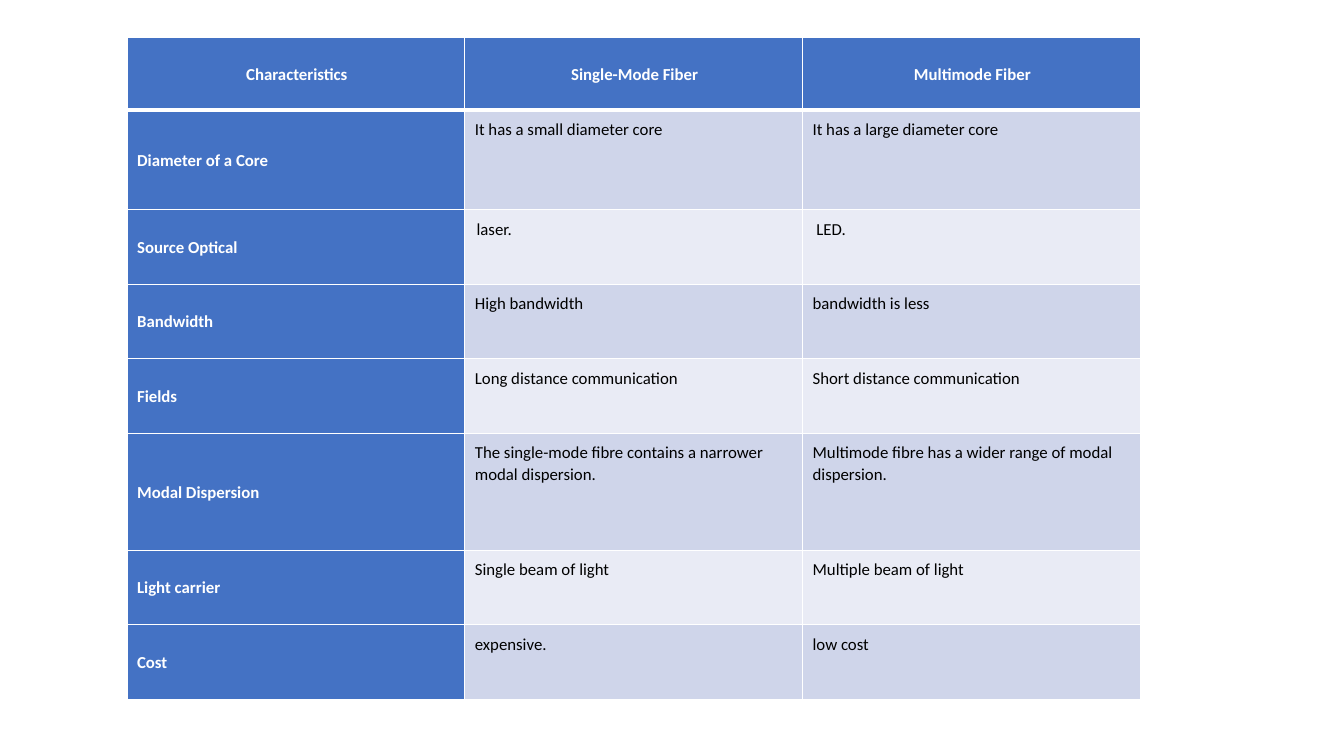
from lxml import etree
from pptx import Presentation
from pptx import util as u
from pptx.dml.color import RGBColor
from pptx.enum import text
from pptx.oxml import ns

BLUE, WHITE, BLACK = "4472C4", "FFFFFF", "000000"
BANDS = ("CFD5EA", "E9EBF5")
COLUMN_WIDTH = 3.35
ROW_HEIGHTS = (0.72, 0.99, 0.74, 0.74, 0.74, 1.16, 0.74, 0.74)
FIBER_ROWS = (
    ("Characteristics", "Single-Mode Fiber", "Multimode Fiber"),
    ("Diameter of a Core", "It has a small diameter core", "It has a large diameter core"),
    ("Source Optical", " laser.", " LED."),
    ("Bandwidth", "High bandwidth", "bandwidth is less"),
    ("Fields", "Long distance communication", "Short distance communication"),
    ("Modal Dispersion", "The single-mode fibre contains a narrower modal dispersion.",
     "Multimode fibre has a wider range of modal dispersion."),
    ("Light carrier", "Single beam of light", "Multiple beam of light"),
    ("Cost", "expensive.", "low cost"),
)


def color(value):
    return RGBColor.from_string(value)


def add_border(cell, side, points):
    properties = cell._tc.get_or_add_tcPr()
    line = etree.SubElement(properties, ns.qn(f"a:ln{side}"), w=str(u.Pt(points)))
    fill = etree.SubElement(line, ns.qn("a:solidFill"))
    etree.SubElement(fill, ns.qn("a:srgbClr"), val=WHITE)


def write_cell(cell, wording, row, column):
    is_header = row == 0
    is_heading = is_header or column == 0
    for side in "LRTB":
        under_header = (row, side) in ((0, "B"), (1, "T"))
        add_border(cell, side, 3 if under_header else 1)
    cell.fill.solid()
    cell.fill.fore_color.rgb = color(BLUE if is_heading else BANDS[(row - 1) % 2])
    cell.margin_left = cell.margin_right = u.Inches(0.08)
    cell.margin_top = cell.margin_bottom = u.Inches(0.08)
    cell.vertical_anchor = text.MSO_ANCHOR.MIDDLE if is_heading else text.MSO_ANCHOR.TOP
    cell.text = wording
    para = cell.text_frame.paragraphs[0]
    para.alignment = text.PP_ALIGN.CENTER if is_header else text.PP_ALIGN.LEFT
    para.line_spacing = 1.07
    para.space_before = u.Pt(1.5)
    para.space_after = u.Pt(7.5)
    indent = 0 if wording == " laser." else 0.02
    para._p.get_or_add_pPr().set("marL", str(u.Inches(indent)))
    para.font.name = "Calibri"
    para.font.size = u.Pt(12)
    para.font.bold = is_heading
    para.font.color.rgb = color(WHITE if is_heading else BLACK)


def add_fiber_table(page):
    column_count = len(FIBER_ROWS[0])
    frame = page.shapes.add_table(
        len(FIBER_ROWS), column_count, u.Inches(1.26), u.Inches(0.37),
        u.Inches(COLUMN_WIDTH * column_count), u.Inches(sum(ROW_HEIGHTS)))
    table = frame.table
    for column in table.columns:
        column.width = u.Inches(COLUMN_WIDTH)
    for row, (height, wordings) in enumerate(zip(ROW_HEIGHTS, FIBER_ROWS)):
        table.rows[row].height = u.Inches(height)
        for column, wording in enumerate(wordings):
            write_cell(table.cell(row, column), wording, row, column)


def main():
    deck = Presentation()
    deck.slide_width = u.Inches(13.33)
    deck.slide_height = u.Inches(7.5)
    page = deck.slides.add_slide(deck.slide_layouts[6])
    add_fiber_table(page)
    deck.save("out.pptx")


if __name__ == "__main__":
    main()
